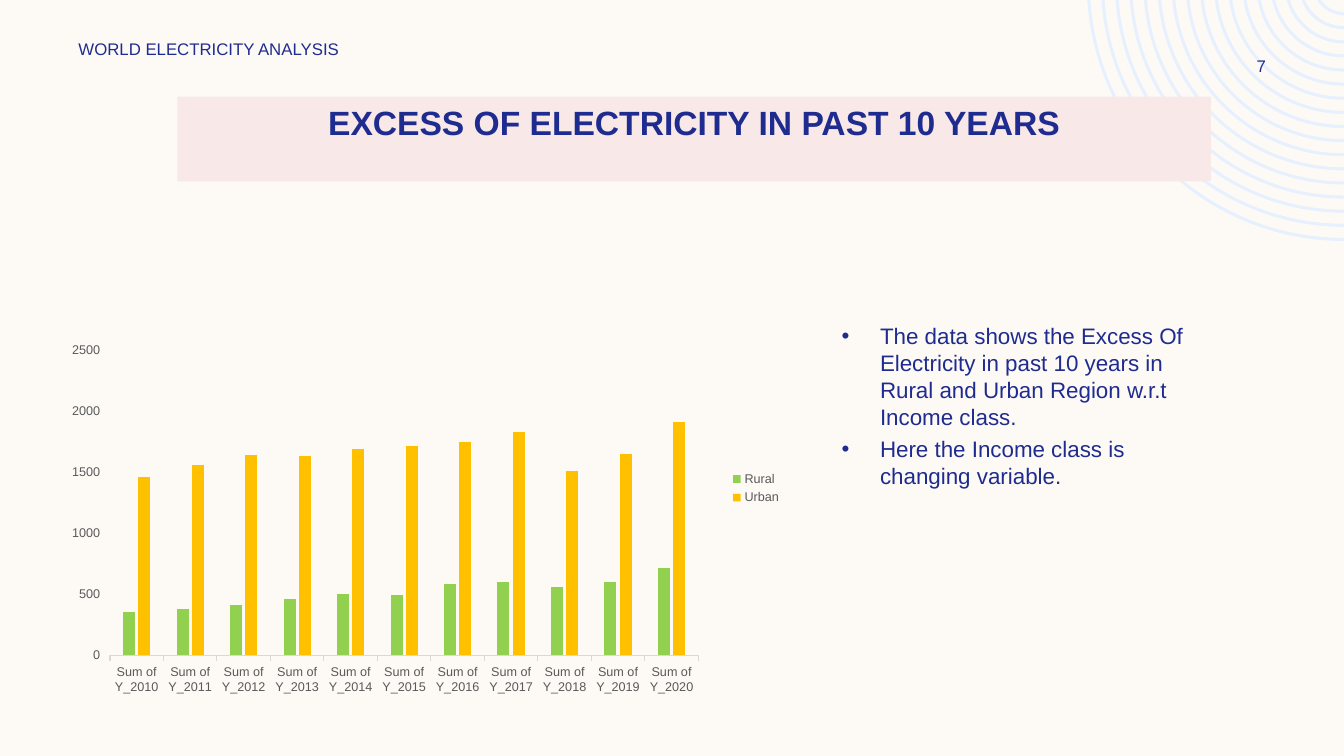
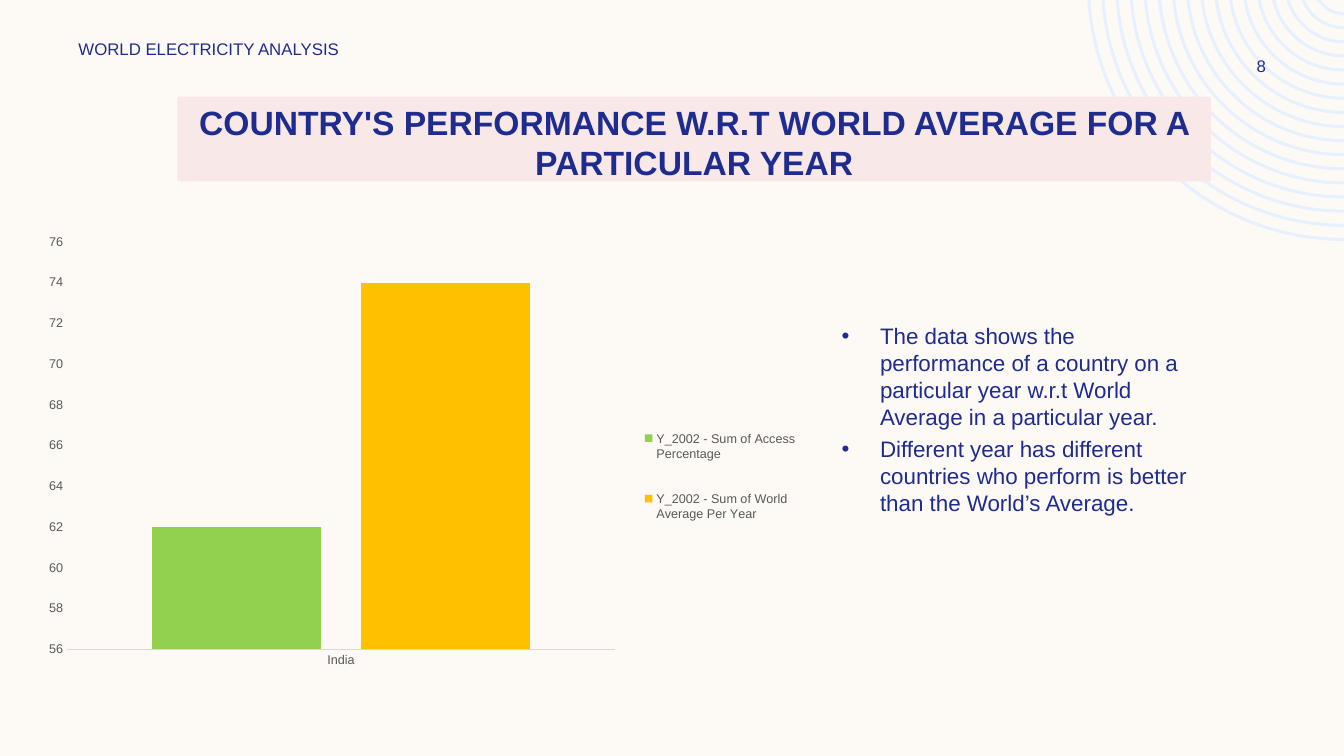
from math import acos, cos, sin, tan

from lxml import etree
from pptx import Presentation
from pptx.chart.data import CategoryChartData
from pptx.dml.color import RGBColor
from pptx.enum.chart import XL_CHART_TYPE as CT, XL_LEGEND_POSITION as LP, XL_TICK_MARK as TM
from pptx.enum.shapes import MSO_SHAPE as SHAPE
from pptx.enum.text import MSO_ANCHOR as ANCHOR, PP_ALIGN as ALIGN
from pptx.oxml import parse_xml
from pptx.oxml.ns import nsdecls, qn
from pptx.util import Inches, Pt

COLORS = {
    "background": "FDFAF6", "rings": "E6F0FE", "band": "F8E8E8", "text": "1F2C8F",
    "chart_text": "595959", "axis": "D9D9D9", "green": "92D050", "yellow": "FFC000",
}
FONT = "Arial"
SLIDE_W = 13.33

SLIDES = [
    {
        "number": "7",
        "title": "EXCESS OF ELECTRICITY IN PAST 10 YEARS",
        "bullets": [
            "The data shows the Excess Of Electricity in past 10 years in Rural and "
            "Urban Region w.r.t Income class.",
            "Here the Income class is changing variable.",
        ],
        "box": (0.69, 2.44, 7.16, 4.81),
        "categories": [f"Sum of Y_{year}" for year in range(2010, 2021)],
        "series": {
            "Rural": [350, 380, 410, 460, 500, 490, 580, 600, 560, 600, 710],
            "Urban": [1460, 1560, 1640, 1630, 1690, 1710, 1750, 1830, 1510, 1650, 1910],
        },
        "scale": (0, 2500, 500),
        "gap": 219, "overlap": -27, "tick": TM.OUTSIDE, "axis_width": 0.75,
        "plot": (0.056, 0.215, 0.815, 0.629),
        "legend": None,
    },
    {
        "number": "8",
        "title": "COUNTRY'S PERFORMANCE W.R.T WORLD AVERAGE FOR A PARTICULAR YEAR",
        "bullets": [
            "The data shows the performance of a country on a particular year w.r.t "
            "World Average in a particular year.",
            "Different year has different countries who perform is better than the "
            "World’s Average.",
        ],
        "box": (0.31, 2.24, 7.72, 4.57),
        "categories": ["India"],
        "series": {
            "Y_2002 - Sum of Access Percentage": [62],
            "Y_2002 - Sum of World Average Per Year": [74],
        },
        "scale": (56, 76, 2),
        "gap": 100, "overlap": -24, "tick": TM.NONE, "axis_width": 1,
        "plot": (0.046, 0.035, 0.704, 0.885),
        "legend": (0.78, 0.38, 0.21, 0.33),
    },
]


def add_text(sp, lines, size, anchor=ANCHOR.TOP, align=ALIGN.LEFT, bold=False):
    tf = sp.text_frame
    tf.word_wrap = True
    tf.vertical_anchor = anchor
    tf.text = "\n".join(lines)
    for p in tf.paragraphs:
        p.alignment = align
        p.font.name, p.font.size, p.font.bold = FONT, Pt(size), bold
        p.font.color.rgb = RGBColor.from_string(COLORS["text"])
    return tf


def manual_layout(box, inner=False):
    layout = etree.Element(qn("c:layout"))
    manual = etree.SubElement(layout, qn("c:manualLayout"))
    settings = [("layoutTarget", "inner")] if inner else []
    settings += [("xMode", "edge"), ("yMode", "edge"), *zip("xywh", box)]
    for tag, value in settings:
        etree.SubElement(manual, qn(f"c:{tag}")).set("val", str(value))
    return layout


prs = Presentation()
prs.slide_width, prs.slide_height = Inches(SLIDE_W), Inches(7.5)
bg = prs.slide_master.background.fill
bg.solid()
bg.fore_color.rgb = RGBColor.from_string(COLORS["background"])

# Concentric rings cut off by the top and right slide edges: each ring is
# an outer arc and an inner arc, four Bezier points apiece
RING_Y, RING_R, RING_STEP, RING_WIDTH, RING_COUNT = -0.16, 0.31, 0.14, 0.03, 17
rings = []
for i in range(RING_COUNT):
    outline = []
    radius = RING_R + i * RING_STEP
    for r, order in ((radius, 1), (radius - RING_WIDTH, -1)):
        sweep = acos(-RING_Y / r)
        handle = 4 / 3 * tan(sweep / 4) * r
        x, y = SLIDE_W - r * sin(sweep), RING_Y + r * cos(sweep)
        bottom = RING_Y + r
        arc = [(x, y), (x + handle * cos(sweep), y + handle * sin(sweep)),
               (SLIDE_W - handle, bottom), (SLIDE_W, bottom)]
        outline += arc[::order]
    rings.append([(Inches(x), Inches(y)) for x, y in outline])

for data in SLIDES:
    s = prs.slides.add_slide(prs.slide_layouts[6])

    # Corner rings, with the arc segments turned into curves
    builder = s.shapes.build_freeform(*rings[0][0])
    for i, ring in enumerate(rings):
        if i:
            builder.move_to(*ring[0])
        builder.add_line_segments(ring[1:], close=True)
    corner = builder.convert_to_shape()
    lines = list(corner._element.iter(qn("a:lnTo")))
    for i in range(0, len(lines), 7):
        for first in (i, i + 4):
            curve = etree.Element(qn("a:cubicBezTo"))
            lines[first].addprevious(curve)
            for line in lines[first:first + 3]:
                curve.append(line[0])
                line.getparent().remove(line)

    # Title band
    band = s.shapes.add_shape(SHAPE.RECTANGLE, Inches(1.76), Inches(0.96), Inches(10.25), Inches(0.84))
    add_text(band, [data["title"]], 24, align=ALIGN.CENTER, bold=True)
    for sp, color in ((corner, "rings"), (band, "band")):
        sp.shadow.inherit = False
        sp.fill.solid()
        sp.fill.fore_color.rgb = RGBColor.from_string(COLORS[color])
        sp.line.fill.background()

    # Header and slide number
    header = s.shapes.add_textbox(Inches(0.68), Inches(0.33), Inches(3.5), Inches(0.3))
    add_text(header, ["WORLD ELECTRICITY ANALYSIS"], 12, ANCHOR.MIDDLE)
    number = s.shapes.add_textbox(Inches(11.97), Inches(0.5), Inches(1.08), Inches(0.3))
    add_text(number, [data["number"]], 12, ANCHOR.MIDDLE, ALIGN.CENTER)

    # Bullets
    notes = s.shapes.add_textbox(Inches(8.25), Inches(3.15), Inches(3.76), Inches(2.23))
    for p in add_text(notes, data["bullets"], 16).paragraphs:
        p.space_before = Pt(3.6)
        pPr = p._p.get_or_add_pPr()
        pPr.set("marL", str(Inches(0.38)))
        pPr.set("indent", str(Inches(-0.38)))
        for tag in (f'buFont {nsdecls("a")} typeface="{FONT}"', f'buChar {nsdecls("a")} char="•"'):
            pPr.insert_element_before(parse_xml(f"<a:{tag}/>"), "a:tabLst", "a:defRPr", "a:extLst")

    # Column chart
    cd = CategoryChartData()
    cd.categories = data["categories"]
    for name, values in data["series"].items():
        cd.add_series(name, values)
    box = [Inches(v) for v in data["box"]]
    chart = s.shapes.add_chart(CT.COLUMN_CLUSTERED, *box, cd).chart
    chart.has_title = False
    chart.font.name, chart.font.size = FONT, Pt(9)
    chart.font.color.rgb = RGBColor.from_string(COLORS["chart_text"])

    plot = chart.plots[0]
    plot.vary_by_categories = False
    plot.gap_width, plot.overlap = data["gap"], data["overlap"]
    for series, color in zip(plot.series, ("green", "yellow")):
        series.format.fill.solid()
        series.format.fill.fore_color.rgb = RGBColor.from_string(COLORS[color])

    cat, val = chart.category_axis, chart.value_axis
    cat.major_tick_mark = val.major_tick_mark = data["tick"]
    cat.format.line.color.rgb = RGBColor.from_string(COLORS["axis"])
    cat.format.line.width = Pt(data["axis_width"])
    val.format.line.fill.background()
    val.has_major_gridlines = False
    val.minimum_scale, val.maximum_scale, val.major_unit = data["scale"]

    # Fixed plot area and legend places
    area = chart._chartSpace.chart.plotArea
    for old in area.findall(qn("c:layout")):
        area.remove(old)
    area.insert(0, manual_layout(data["plot"], inner=True))
    chart.has_legend = True
    legend = chart.legend
    legend.position = LP.RIGHT
    legend.include_in_layout = False
    if data["legend"]:
        element = legend._element
        for old in element.findall(qn("c:layout")):
            element.remove(old)
        element.find(qn("c:legendPos")).addnext(manual_layout(data["legend"]))

prs.save("out.pptx")
